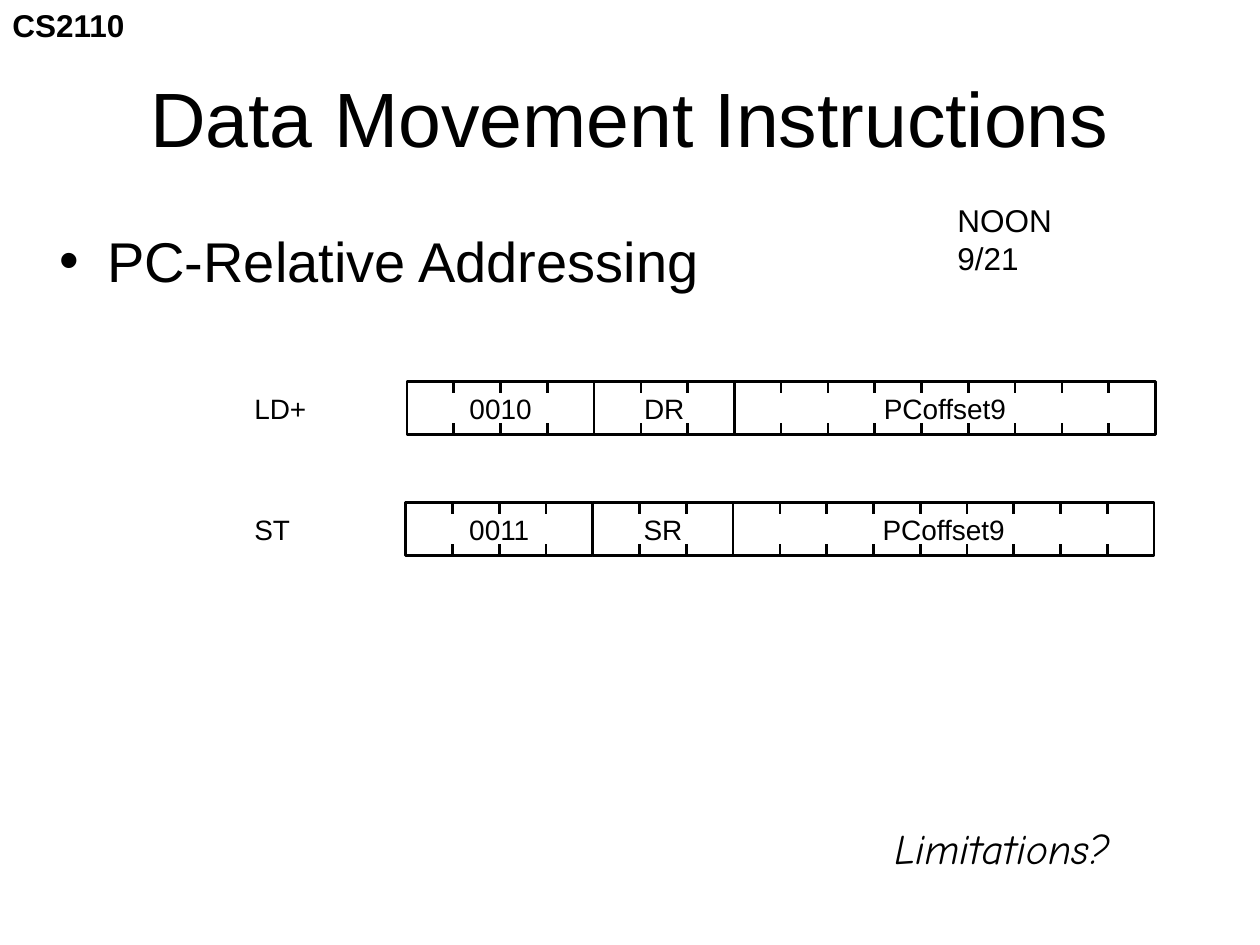
import dataclasses

import lxml.etree
import pptx
import pptx.dml.color
import pptx.enum.shapes
import pptx.enum.text
import pptx.oxml.ns
import pptx.util

Inches = pptx.util.Inches
Pt = pptx.util.Pt
ALIGN = pptx.enum.text.PP_ALIGN
ANCHOR = pptx.enum.text.MSO_ANCHOR
AUTO_SIZE = pptx.enum.text.MSO_AUTO_SIZE
qn = pptx.oxml.ns.qn


@dataclasses.dataclass(frozen=True)
class Theme:
    ink: pptx.dml.color.RGBColor = pptx.dml.color.RGBColor(0, 0, 0)
    paper: pptx.dml.color.RGBColor = pptx.dml.color.RGBColor(255, 255, 255)
    font: str = "Arial"
    hand_font: str = "Comic Neue"
    title: float = 44
    body: float = 32
    remark: float = 24
    note: float = 18
    field: float = 16
    line: float = 1.5


def format_text(tf, text, *, size, color, font, bold=False, italic=False,
                align=ALIGN.LEFT, space_before=0):
    """Fill the first paragraph of a text frame and return it."""
    p = tf.paragraphs[0]
    p.alignment = align
    p.space_before = Pt(space_before)
    r = p.add_run()
    r.text = text
    r.font.size = Pt(size)
    r.font.name = font
    r.font.bold = bold
    r.font.italic = italic
    r.font.color.rgb = color
    return p


class SlideBuilder:
    BITS = 16
    WORD_WIDTH = 5.94
    WORD_HEIGHT = 0.42
    TICK = 0.09
    LABEL_LEFT = 1.92

    def __init__(self, prs, theme):
        self.theme = theme
        self.s = prs.slides.add_slide(prs.slide_layouts[1])
        self.s.background.fill.solid()
        self.s.background.fill.fore_color.rgb = theme.paper

    def text(self, tf, text, size, **fmt):
        fmt = {"color": self.theme.ink, "font": self.theme.font, **fmt}
        return format_text(tf, text, size=size, **fmt)

    def place(self, sp, left, top, width, height, anchor):
        sp.left, sp.top = Inches(left), Inches(top)
        sp.width, sp.height = Inches(width), Inches(height)
        sp.text_frame.auto_size = AUTO_SIZE.NONE
        sp.text_frame.vertical_anchor = anchor

    def title(self, text, *box):
        sp = self.s.shapes.title
        self.place(sp, *box, ANCHOR.MIDDLE)
        self.text(sp.text_frame, text, self.theme.title, align=ALIGN.CENTER)

    def bullet(self, text, *box, indent=0.38):
        sp = self.s.placeholders[1]
        self.place(sp, *box, ANCHOR.TOP)
        p = self.text(sp.text_frame, text, self.theme.body, space_before=8)
        pPr = p._p.get_or_add_pPr()
        pPr.set("marL", str(Inches(indent)))
        pPr.set("indent", str(-Inches(indent)))
        lxml.etree.SubElement(pPr, qn("a:buChar"), char="•")

    def label(self, text, left, top, width, height, size, shapes=None, **fmt):
        shapes = self.s.shapes if shapes is None else shapes
        sp = shapes.add_textbox(Inches(left), Inches(top), Inches(width), Inches(height))
        sp.text_frame.word_wrap = False
        sp.text_frame.auto_size = AUTO_SIZE.SHAPE_TO_FIT_TEXT
        self.text(sp.text_frame, text, size, **fmt)

    def tick(self, shapes, x, top):
        line = shapes.add_connector(pptx.enum.shapes.MSO_CONNECTOR.STRAIGHT,
                                    Inches(x), Inches(top), Inches(x), Inches(top + self.TICK))
        line.line.color.rgb = self.theme.ink
        line.line.width = Pt(self.theme.line)
        lxml.etree.SubElement(line._element.spPr, qn("a:effectLst"))

    def field(self, shapes, text, left, top, bits, text_width):
        """Draw one box of an instruction, with ticks between its bits, and return its right edge."""
        bit = self.WORD_WIDTH / self.BITS
        width = bits * bit
        sp = shapes.add_shape(pptx.enum.shapes.MSO_SHAPE.RECTANGLE, Inches(left),
                              Inches(top), Inches(width), Inches(self.WORD_HEIGHT))
        sp.shadow.inherit = False
        sp.fill.background()
        sp.line.color.rgb = self.theme.ink
        sp.line.width = Pt(self.theme.line)
        for i in range(1, bits):
            for y in (top, top + self.WORD_HEIGHT - self.TICK):
                self.tick(shapes, left + i * bit, y)
        self.label(text, left + (width - text_width) / 2, top + 0.03, text_width, 0.37,
                   self.theme.field, shapes, align=ALIGN.CENTER, space_before=10)
        return left + width

    def instruction(self, name, name_width, left, top, fields):
        shapes = self.s.shapes.add_group_shape().shapes
        self.label(name, self.LABEL_LEFT, top + 0.03, name_width, 0.37,
                   self.theme.field, shapes)
        for text, bits, text_width in fields:
            left = self.field(shapes, text, left, top, bits, text_width)


def main():
    prs = pptx.Presentation()
    prs.slide_width, prs.slide_height = Inches(10), Inches(7.5)
    theme = Theme()
    slide = SlideBuilder(prs, theme)

    slide.label("CS2110", 0, 0, 1.1, 0.4, theme.note, bold=True)
    slide.title("Data Movement Instructions", 0.5, 0.3, 9, 1.25)
    slide.bullet("PC-Relative Addressing", 0.37, 1.75, 9, 5.58)

    offset = ("PCoffset9", 9, 1.17)
    slide.instruction("LD+", 0.61, 3.23, 3.03, [("0010", 4, 0.69), ("DR", 3, 0.52), offset])
    slide.instruction("ST", 0.48, 3.22, 3.99, [("0011", 4, 0.69), ("SR", 3, 0.51), offset])

    slide.label("Limitations?", 7, 6.48, 1.91, 0.5, theme.remark,
                font=theme.hand_font, italic=True)
    slide.label("NOON 9/21", 7.5, 1.55, 1.5, 0.4, theme.note)
    prs.save("out.pptx")


if __name__ == "__main__":
    main()
